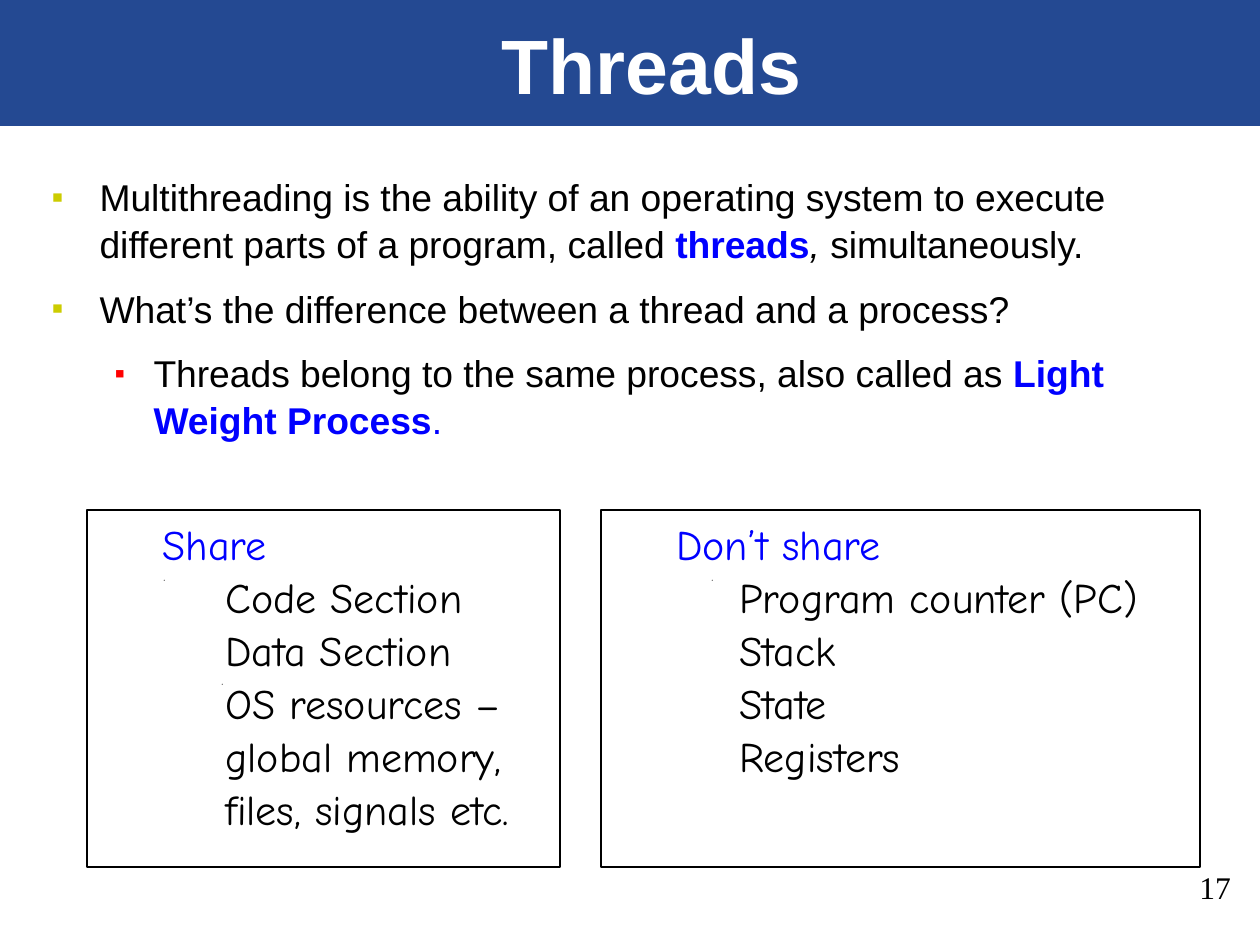
import pptx
import pptx.util
import pptx.dml.color
import pptx.enum.shapes
import pptx.enum.text
import pptx.oxml
import pptx.oxml.ns

RGB = pptx.dml.color.RGBColor
BLACK, WHITE = RGB(0, 0, 0), RGB(255, 255, 255)
BANNER_BLUE, KEY_BLUE = RGB(0x24, 0x49, 0x92), RGB(0, 0, 255)
OLIVE, RED = RGB(0xCC, 0xCC, 0), RGB(255, 0, 0)

# Content
TITLE = "Threads"
PAGE = "17"
# (level, [(text, style)])
POINTS = [
    (0, [("Multithreading is the ability of an operating system to execute "
          "different parts of a program, called ", ""),
         ("threads", "key"), (", ", "italic"), ("simultaneously.", "")]),
    (0, [("What’s the difference between a thread and a process?", "")]),
    (1, [("Threads belong to the same process, also called as ", ""),
         ("Light Weight Process", "key"), (".", "blue")]),
]
# (left, width, heading, items)
SHARING = [
    (87, 473, "Share",
     ["Code Section", "Data Section",
      "OS resources – global memory, files, signals etc."]),
    (601, 599, "Don’t share",
     ["Program counter (PC)", "Stack", "State", "Registers"]),
]
SPECKS = [(222, 684), (164, 580), (712, 580)]
# Per level: left margin, hanging indent, bullet colour, bullet size in percent
BULLETS = [(48, 48, OLIVE, 90), (102, 39, RED, 80)]

PX = 914400 // 126
LINE_SPACING = 1.05
RECTANGLE = pptx.enum.shapes.MSO_SHAPE.RECTANGLE


def px(*lengths):
    return [pptx.util.Emu(length * PX) for length in lengths]


def place(part, left, top, width, height):
    part.left, part.top, part.width, part.height = px(left, top, width, height)


def style(run, font, size, color, bold=False, italic=False):
    run.font.name, run.font.size = font, pptx.util.Pt(size)
    run.font.color.rgb = color
    run.font.bold, run.font.italic = bold, italic


def indent(paragraph, margin, hanging=0):
    properties = paragraph._p.get_or_add_pPr()
    properties.set("marL", str(margin * PX))
    properties.set("indent", str(-hanging * PX))
    return properties


def add_bullet(paragraph, margin, hanging, color, percent):
    properties = indent(paragraph, margin, hanging)
    ns = pptx.oxml.ns.nsdecls("a")
    for xml in (f'<a:buClr {ns}><a:srgbClr val="{color}"/></a:buClr>',
                f'<a:buSzPct {ns} val="{percent * 1000}"/>',
                f'<a:buFont {ns} typeface="Arial"/>',
                f'<a:buChar {ns} char="▪"/>'):
        properties.append(pptx.oxml.parse_xml(xml))


def paragraphs(frame, count):
    return [frame.paragraphs[0]] + [frame.add_paragraph() for _ in range(count - 1)]


presentation = pptx.Presentation()
presentation.slide_width, presentation.slide_height = px(1260, 945)
slide = presentation.slides.add_slide(presentation.slide_layouts[1])
shapes = slide.shapes
title, body = slide.placeholders

# Banner and specks, behind the placeholders
banner = shapes.add_shape(RECTANGLE, *px(0, 0, 1260, 126))
banner.fill.solid()
banner.fill.fore_color.rgb = BANNER_BLUE
backdrop = [banner]
for left, top in SPECKS:
    outline = shapes.build_freeform(left, top, scale=PX)
    outline.add_line_segments([(left + 1, top), (left, top + 1)])
    speck = outline.convert_to_shape()
    speck.fill.solid()
    speck.fill.fore_color.rgb = BLACK
    backdrop.append(speck)
for part in backdrop:
    part.line.fill.background()
    part.shadow.inherit = False
    title._element.addprevious(part._element)

# Title
place(title, 95, 31, 1113, 85)
title.text_frame.text = TITLE
title.text_frame.auto_size = pptx.enum.text.MSO_AUTO_SIZE.NONE
title.text_frame.vertical_anchor = pptx.enum.text.MSO_ANCHOR.BOTTOM
title.text_frame.paragraphs[0].alignment = pptx.enum.text.PP_ALIGN.CENTER
style(title.text_frame.paragraphs[0].runs[0], "Arial", 44, WHITE, bold=True)

# Bulleted points
place(body, 39, 166, 1177, 282)
body.text_frame.auto_size = pptx.enum.text.MSO_AUTO_SIZE.NONE
for number, (paragraph, (level, pieces)) in enumerate(
        zip(paragraphs(body.text_frame, len(POINTS)), POINTS)):
    paragraph.level = level
    paragraph.line_spacing = LINE_SPACING
    paragraph.space_before = pptx.util.Pt(10 if number else 0)
    add_bullet(paragraph, *BULLETS[level])
    for text, look in pieces:
        run = paragraph.add_run()
        run.text = text
        style(run, "Arial", 21.3, KEY_BLUE if look in ("key", "blue") else BLACK,
              bold=look == "key", italic=look == "italic")

# Sharing boxes
for left, width, heading, items in SHARING:
    box = shapes.add_shape(RECTANGLE, *px(left, 510, width, 357))
    box.shadow.inherit = False
    box.fill.background()
    box.line.color.rgb = BLACK
    box.line.width = pptx.util.Pt(0.75)
    frame = box.text_frame
    frame.word_wrap = True
    frame.vertical_anchor = pptx.enum.text.MSO_ANCHOR.TOP
    lines = [heading] + items
    for number, (paragraph, text) in enumerate(zip(paragraphs(frame, len(lines)), lines)):
        paragraph.text = text
        paragraph.level = 2 if number else 1
        paragraph.alignment = pptx.enum.text.PP_ALIGN.LEFT
        paragraph.line_spacing = LINE_SPACING
        indent(paragraph, 126 if number else 63)
        style(paragraph.runs[0], "Comic Neue", 24, BLACK if number else KEY_BLUE)

# Page number
page = shapes.add_textbox(*px(1187, 862, 73, 50))
page.text_frame.word_wrap = True
page.text_frame.text = PAGE
style(page.text_frame.paragraphs[0].runs[0], "Times New Roman", 18, BLACK)

presentation.save("out.pptx")
